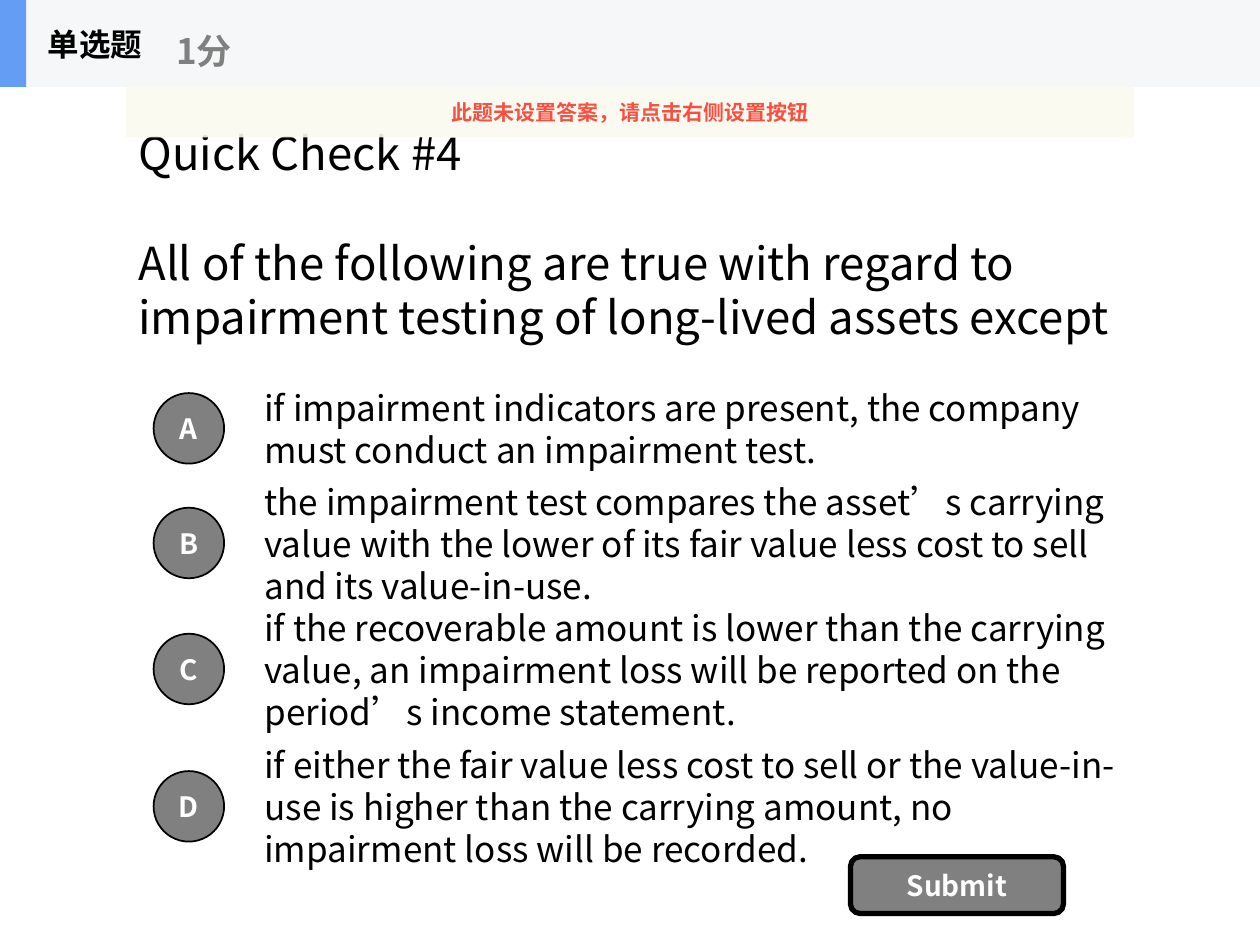
import pptx
import pptx.util
import pptx.dml.color
import pptx.enum.shapes
import pptx.enum.text
import pptx.oxml.ns
import lxml.etree

Pt = pptx.util.Pt
SHAPE = pptx.enum.shapes.MSO_SHAPE
ALIGN = pptx.enum.text.PP_ALIGN
MIDDLE = pptx.enum.text.MSO_ANCHOR.MIDDLE
QN = pptx.oxml.ns.qn
FONT = "Noto Sans CJK SC"
COLORS = {
    "black": "000000", "white": "FFFFFF", "gray": "808080", "bar": "F6F7F8",
    "blue": "639EF4", "cream": "FBFAEF", "red": "F84F41",
}
TITLE = [
    "Quick Check #4",
    "All of the following are true with regard to impairment testing of "
    "long-lived assets except",
]
# Each choice: letter, top of its row, wording
CHOICES = [
    ("A", 219.6, "if impairment indicators are present, the company must "
     "conduct an impairment test."),
    ("B", 285.1, "the impairment test compares the asset’s carrying value with "
     "the lower of its fair value less cost to sell and its value-in-use."),
    ("C", 357.1, "if the recoverable amount is lower than the carrying value, "
     "an impairment loss will be reported on the period’s income statement."),
    ("D", 435.6, "if either the fair value less cost to sell or the "
     "value-in-use is higher than the carrying amount, no impairment loss "
     "will be recorded."),
]


def color(name):
    return pptx.dml.color.RGBColor.from_string(COLORS[name])


def write(shape, *lines, size, ink="black", bold=False, align=ALIGN.LEFT,
          wrap=True, pitch=None, gap=0):
    frame = shape.text_frame
    frame.word_wrap = wrap
    frame.vertical_anchor = MIDDLE
    for i, line in enumerate(lines):
        para = frame.add_paragraph() if i else frame.paragraphs[0]
        para.alignment = align
        if pitch:
            para.line_spacing = Pt(pitch)
        if i:
            para.space_before = Pt(gap)
        run = para.add_run()
        run.text = line
        font = run.font
        font.name, font.size, font.bold = FONT, Pt(size), bold
        font.color.rgb = color(ink)
        # East Asian face
        face = lxml.etree.SubElement(run._r.get_or_add_rPr(), QN("a:ea"))
        face.set("typeface", FONT)


def label(parts, box, *lines, **form):
    write(parts.add_textbox(*map(Pt, box)), *lines, **form)


def block(parts, kind, box, fill, edge=0):
    shape = parts.add_shape(kind, *map(Pt, box))
    shape.shadow.inherit = False
    shape.fill.solid()
    shape.fill.fore_color.rgb = color(fill)
    if edge:
        shape.line.color.rgb = color("black")
        shape.line.width = Pt(edge)
    else:
        shape.line.fill.background()
    return shape


def button(parts, kind, box, text, edge):
    shape = block(parts, kind, box, "gray", edge)
    write(shape, text, size=16, ink="white", bold=True,
          align=ALIGN.CENTER, wrap=False)


def choice(parts, box, letter, text):
    left, top, width, height = box
    side, indent = 40.3, 56.2
    button(parts, SHAPE.OVAL, (left, top + (height - side) / 2, side, side),
           letter, 1)
    label(parts, (left + indent, top, width - indent, height), text,
          size=20, pitch=24)


def header(parts, box):
    left, top, width, height = box
    group = parts.add_group_shape().shapes
    block(group, SHAPE.RECTANGLE, box, "bar")
    block(group, SHAPE.RECTANGLE, (left, top, 15, height), "blue")
    label(group, (left + 20.2, top, 150, height), "单选题",
          size=18, bold=True)
    label(group, (left + 93.6, top + 8.6, 180, 40.3), "1分",
          size=20, ink="gray", bold=True)


def notice(parts, box):
    shape = block(parts, SHAPE.RECTANGLE, box, "cream")
    # Let the text beneath show through slightly
    tint = shape.fill._xPr.find(".//" + QN("a:srgbClr"))
    lxml.etree.SubElement(tint, QN("a:alpha")).set("val", "90000")
    write(shape, "此题未设置答案，请点击右侧设置按钮", size=12, ink="red",
          bold=True, align=ALIGN.CENTER, wrap=False)


def main():
    deck = pptx.Presentation()
    deck.slide_width, deck.slide_height = Pt(720), Pt(540)
    parts = deck.slides.add_slide(deck.slide_layouts[6]).shapes

    # Question
    label(parts, (72, 49.7, 576, 168.5), *TITLE, size=26, pitch=31.3, gap=31.3)

    # Choices
    for letter, top, text in CHOICES:
        choice(parts, (87.8, top, 560.2, 50.4), letter, text)

    # Submit button, header and notice
    button(parts, SHAPE.ROUNDED_RECTANGLE, (486, 489.6, 121.7, 32.4),
           "Submit", 3)
    header(parts, (0, 0, 720, 49.7))
    notice(parts, (72, 49.7, 576, 28.8))

    deck.save("out.pptx")


if __name__ == "__main__":
    main()
